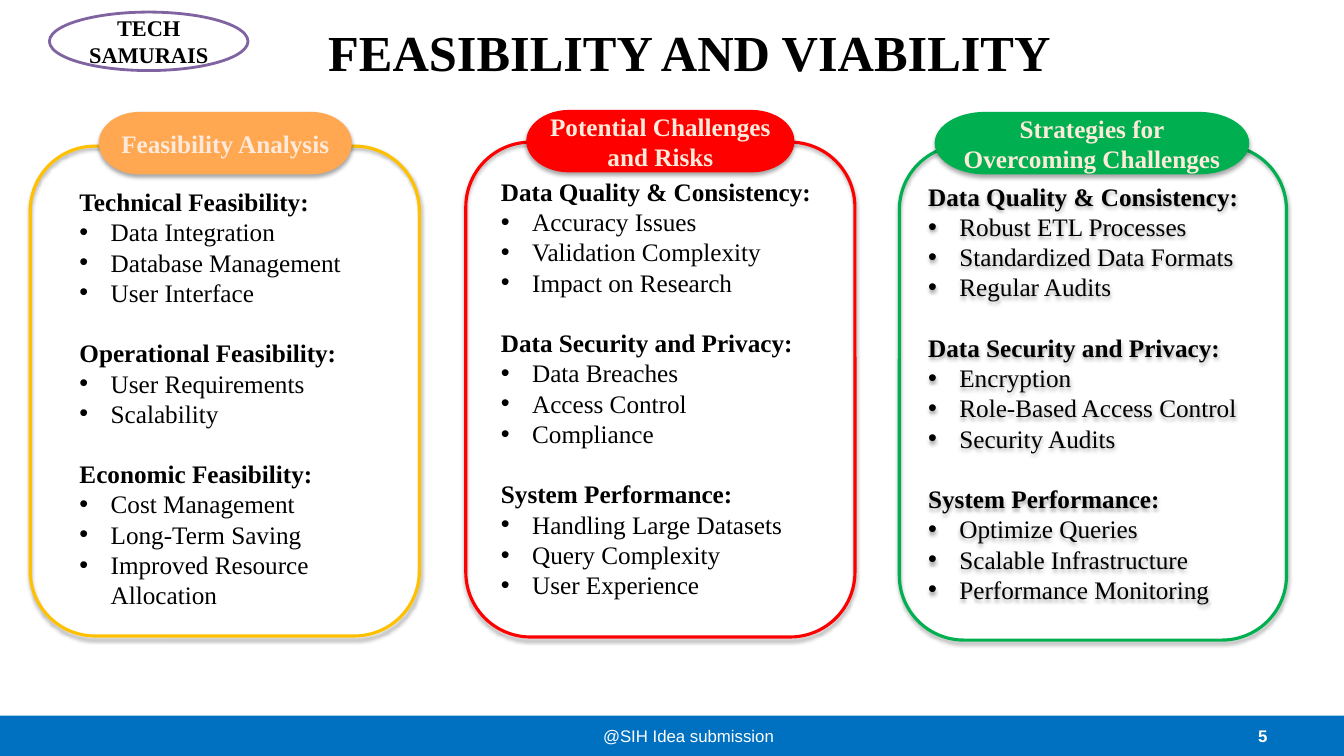
from dataclasses import dataclass

from lxml import etree
from pptx import Presentation
from pptx.dml.color import RGBColor
from pptx.enum.shapes import MSO_SHAPE
from pptx.enum.text import MSO_ANCHOR, PP_ALIGN
from pptx.oxml.ns import qn
from pptx.util import Inches, Pt

RECTANGLE = MSO_SHAPE.RECTANGLE
ROUNDED = MSO_SHAPE.ROUNDED_RECTANGLE
PILL = MSO_SHAPE.FLOWCHART_TERMINATOR
OVAL = MSO_SHAPE.OVAL
LEFT, CENTER, RIGHT = PP_ALIGN.LEFT, PP_ALIGN.CENTER, PP_ALIGN.RIGHT
TOP, MIDDLE = MSO_ANCHOR.TOP, MSO_ANCHOR.MIDDLE


@dataclass(frozen=True)
class Theme:
    """Colours, fonts and type sizes of the slide."""
    serif: str = "Times New Roman"
    sans: str = "Arial"
    black: str = "000000"
    white: str = "FFFFFF"
    cream: str = "FDEADA"
    blue: str = "0070C0"
    purple: str = "8064A2"
    amber: str = "FFC000"
    orange: str = "FFA751"
    red: str = "FF0000"
    green: str = "00B050"
    shade: str = "808080"
    title: int = 36
    body: int = 18
    badge: int = 16
    footer: int = 12
    leading: float = 1.2


THEME = Theme()
HANGING = Inches(0.31)

FEASIBILITY = {
    "Technical Feasibility:": ["Data Integration", "Database Management", "User Interface"],
    "Operational Feasibility:": ["User Requirements", "Scalability"],
    "Economic Feasibility:": ["Cost Management", "Long-Term Saving",
                              "Improved Resource Allocation"],
}
CHALLENGES = {
    "Data Quality & Consistency:": ["Accuracy Issues", "Validation Complexity",
                                    "Impact on Research"],
    "Data Security and Privacy:": ["Data Breaches", "Access Control", "Compliance"],
    "System Performance:": ["Handling Large Datasets", "Query Complexity", "User Experience"],
}
STRATEGIES = {
    "Data Quality & Consistency:": ["Robust ETL Processes", "Standardized Data Formats",
                                    "Regular Audits"],
    "Data Security and Privacy:": ["Encryption", "Role-Based Access Control",
                                   "Security Audits"],
    "System Performance:": ["Optimize Queries", "Scalable Infrastructure",
                            "Performance Monitoring"],
}


def add_shadow(shape, color, blur):
    """Give the shape a soft shadow falling straight down."""
    effects = shape.element.spPr.find(qn("a:effectLst"))
    shadow = etree.SubElement(effects, qn("a:outerShdw"), blurRad=str(Pt(blur)),
                              dist=str(Pt(1.8)), dir="5400000", rotWithShape="0")
    tint = etree.SubElement(shadow, qn("a:srgbClr"), val=color)
    etree.SubElement(tint, qn("a:alpha"), val="35000")


def add_panel(slide, kind, box, fill=None, line=None, width=2.25, shadow=None, blur=3.1):
    """Add a preset shape with optional fill, outline and shadow."""
    shape = slide.shapes.add_shape(kind, *map(Inches, box))
    if fill:
        shape.fill.solid()
        shape.fill.fore_color.rgb = RGBColor.from_string(fill)
    else:
        shape.fill.background()
    if line:
        shape.line.color.rgb = RGBColor.from_string(line)
        shape.line.width = Pt(width)
    else:
        shape.line.fill.background()
    shape.shadow.inherit = False
    if shadow:
        add_shadow(shape, shadow, blur)
    return shape


def add_text_box(slide, box):
    """Add an empty text box."""
    return slide.shapes.add_textbox(*map(Inches, box))


def write(paragraph, text, size, color, bold=False, font=THEME.serif, align=LEFT):
    """Add one styled run to a paragraph and align it."""
    paragraph.alignment = align
    run = paragraph.add_run()
    run.text = text
    run.font.name = font
    run.font.size = Pt(size)
    run.font.bold = bold
    run.font.color.rgb = RGBColor.from_string(color)


def write_label(shape, text, size, color, **style):
    """Write a single vertically centred paragraph and return it."""
    frame = shape.text_frame
    frame.word_wrap = True
    frame.vertical_anchor = MIDDLE
    paragraph = frame.paragraphs[0]
    write(paragraph, text, size, color, **style)
    return paragraph


def add_bullet(paragraph):
    """Turn a paragraph into a hanging bullet."""
    properties = paragraph._p.get_or_add_pPr()
    properties.set("marL", str(HANGING))
    properties.set("indent", str(-HANGING))
    etree.SubElement(properties, qn("a:buFont"), typeface=THEME.sans)
    etree.SubElement(properties, qn("a:buChar"), char="•")


def write_groups(shape, groups, anchor):
    """Write bold headings, each followed by its bullets."""
    frame = shape.text_frame
    frame.word_wrap = True
    frame.vertical_anchor = anchor
    leading = Pt(THEME.body * THEME.leading)
    paragraph = None
    for heading, items in groups.items():
        first = paragraph is None
        paragraph = frame.paragraphs[0] if first else frame.add_paragraph()
        paragraph.line_spacing = leading
        paragraph.space_before = Pt(0) if first else leading
        write(paragraph, heading, THEME.body, THEME.black, bold=True)
        for item in items:
            paragraph = frame.add_paragraph()
            paragraph.line_spacing = leading
            write(paragraph, item, THEME.body, THEME.black)
            add_bullet(paragraph)


def add_column(slide, frame_box, line, groups, text_box=None):
    """Add an outlined column whose text sits in it or in a box of its own."""
    panel = add_panel(slide, ROUNDED, frame_box, line=line, shadow=THEME.black)
    if text_box:
        write_groups(add_text_box(slide, text_box), groups, TOP)
    else:
        write_groups(panel, groups, MIDDLE)


def add_pill(slide, box, fill, text):
    """Add a column heading pill."""
    pill = add_panel(slide, PILL, box, fill=fill, shadow=THEME.black)
    paragraph = write_label(pill, text, THEME.body, THEME.cream, bold=True, align=CENTER)
    paragraph.line_spacing = Pt(THEME.body * THEME.leading)
    paragraph.space_before = Pt(THEME.body * 0.2)


def add_badge(slide, box, text):
    """Add the oval team badge."""
    badge = add_panel(slide, OVAL, box, fill=THEME.white, line=THEME.purple, width=2)
    badge.text_frame.margin_left = badge.text_frame.margin_right = Inches(0.05)
    paragraph = write_label(badge, text, THEME.badge, THEME.black, bold=True, align=CENTER)
    paragraph.line_spacing = Pt(THEME.badge * THEME.leading)


def add_footer(slide):
    """Add the footer bar with its caption and slide number."""
    add_panel(slide, RECTANGLE, (0, 7.1, 13.33, 0.4), fill=THEME.blue,
              shadow=THEME.shade, blur=0)
    write_label(add_text_box(slide, (9.56, 7.1, 3.11, 0.4)), "5", THEME.footer,
                THEME.white, bold=True, font=THEME.sans, align=RIGHT)
    write_label(add_text_box(slide, (5.08, 7.1, 3.5, 0.4)), "@SIH Idea submission",
                THEME.footer, THEME.white, font=THEME.sans, align=CENTER)


def main():
    """Build the slide and save it."""
    presentation = Presentation()
    presentation.slide_width = Inches(13.33)
    presentation.slide_height = Inches(7.5)
    slide = presentation.slides.add_slide(presentation.slide_layouts[6])
    add_footer(slide)
    write_label(add_text_box(slide, (0.84, -0.12, 12, 1.25)), "FEASIBILITY AND VIABILITY",
                THEME.title, THEME.black, bold=True, align=CENTER)
    add_column(slide, (0.3, 1.45, 3.86, 4.86), THEME.amber, FEASIBILITY,
               (0.69, 1.8, 3.13, 4.63))
    add_column(slide, (4.62, 1.41, 3.86, 4.91), THEME.red, CHALLENGES,
               (4.87, 1.7, 3.37, 4.64))
    add_column(slide, (8.92, 1.44, 3.84, 4.91), THEME.green, STRATEGIES)
    add_pill(slide, (0.98, 1.11, 2.51, 0.62), THEME.orange, "Feasibility Analysis")
    add_pill(slide, (5.22, 1.09, 2.66, 0.62), THEME.red, "Potential Challenges and Risks")
    add_pill(slide, (9.27, 1.11, 3.12, 0.62), THEME.green,
             "Strategies for Overcoming Challenges")
    add_badge(slide, (0.49, 0.12, 1.97, 0.58), "TECH SAMURAIS")
    presentation.save("out.pptx")


if __name__ == "__main__":
    main()
